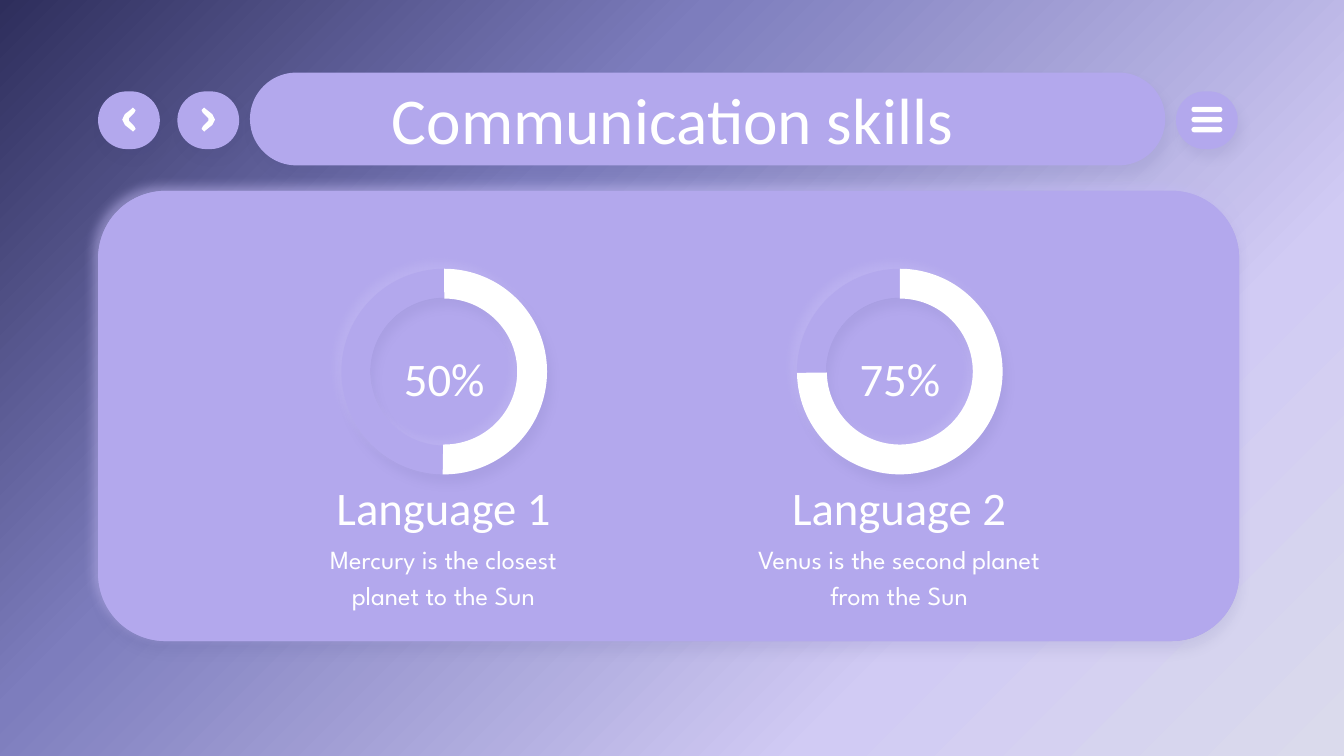
from pptx import Presentation
from pptx.dml.color import RGBColor
from pptx.enum.shapes import MSO_SHAPE
from pptx.enum.text import MSO_ANCHOR, PP_ALIGN
from pptx.oxml import parse_xml
from pptx.oxml.ns import nsdecls
from pptx.util import Inches, Pt

LILAC, WHITE = "B3A8ED", "FFFFFF"
DARK = ("3E3E7A", 8, 5.2, 66)
PANEL_DARK = ("3E3E7A", 8, 5.2, 84)
PANEL_GLOW = ("C4BBF5", 52, 3, 226)
RING_GLOW = ("C4BBF5", 51, 4.5, 226)


def add_shape(kind, x, y, w, h, adj, color=LILAC, shadow=None, rotation=0):
    sp = s.shapes.add_shape(kind, Inches(x), Inches(y), Inches(w), Inches(h))
    for i, value in enumerate(adj):
        sp.adjustments[i] = value
    sp.rotation = rotation
    sp.fill.solid()
    sp.fill.fore_color.rgb = RGBColor.from_string(color)
    sp.line.fill.background()
    sp.shadow.inherit = False
    if shadow:
        tint, alpha, dist, angle = shadow
        sp._element.spPr.remove(sp._element.spPr[-1])
        sp._element.spPr.append(parse_xml(
            f'<a:effectLst {nsdecls("a")}><a:outerShdw blurRad="{Pt(5.6)}" dist="{Pt(dist)}" '
            f'dir="{angle * 60000}" algn="bl" rotWithShape="0"><a:srgbClr val="{tint}">'
            f'<a:alpha val="{alpha * 1000}"/></a:srgbClr></a:outerShdw></a:effectLst>'))


def add_text(text, x, y, w, h, size, font="Calibri", spacing=None, after=0):
    tf = s.shapes.add_textbox(Inches(x), Inches(y), Inches(w), Inches(h)).text_frame
    tf.word_wrap = True
    tf.vertical_anchor = MSO_ANCHOR.TOP
    tf.margin_left = tf.margin_right = tf.margin_top = tf.margin_bottom = Inches(0.1)
    p = tf.paragraphs[0]
    p.alignment = PP_ALIGN.CENTER
    p.space_after = Pt(after)
    if spacing:
        p.line_spacing = spacing
    r = p.add_run()
    r.text = text
    r.font.size = Pt(size)
    r.font.name = font
    r.font.color.rgb = RGBColor.from_string(WHITE)


prs = Presentation()
prs.slide_width, prs.slide_height = Inches(10), Inches(10 * 9 / 16)
s = prs.slides.add_slide(prs.slide_layouts[6])

stops = [(0, "2E2E5C"), (34, "7D7DBD"), (74, "D1CBF4"), (100, "DADAEC")]
gs = "".join(f'<a:gs pos="{pos * 1000}"><a:srgbClr val="{c}"/></a:gs>' for pos, c in stops)
s._element.cSld.insert(0, parse_xml(
    f'<p:bg {nsdecls("p", "a")}><p:bgPr><a:gradFill><a:gsLst>{gs}</a:gsLst>'
    '<a:lin ang="2700000" scaled="0"/></a:gradFill><a:effectLst/></p:bgPr></p:bg>'))

pill = MSO_SHAPE.ROUNDED_RECTANGLE
add_shape(pill, 1.86, 0.54, 6.81, 0.69, [0.5], shadow=DARK)
add_shape(pill, 8.75, 0.68, 0.46, 0.43, [0.5], shadow=DARK)
for i in range(3):
    add_shape(pill, 8.96, 0.7 + 0.075 * i, 0.04, 0.23, [0.5], WHITE, rotation=90)

add_shape(pill, 0.73, 1.42, 8.49, 3.35, [0.15], shadow=PANEL_GLOW)
add_shape(pill, 0.73, 1.42, 8.49, 3.35, [0.15], shadow=PANEL_DARK)
add_text("Communication skills", 0.79, 0.49, 8.43, 0.63, 35)

skills = [
    (3.3, "50%", 0.52, "Language 1", "Mercury is the closest planet to the Sun"),
    (6.69, "75%", 53.55, "Language 2", "Venus is the second planet from the Sun"),
]
for cx, percent, end, language, detail in skills:
    ring = (cx - 0.76, 2, 1.53, 1.53)
    add_shape(MSO_SHAPE.DONUT, *ring, [0.14], shadow=DARK)
    add_shape(MSO_SHAPE.DONUT, *ring, [0.14], shadow=RING_GLOW)
    add_shape(MSO_SHAPE.BLOCK_ARC, *ring, [108, end, 0.145], WHITE, rotation=90)
    add_text(percent, cx - 0.54, 2.5, 1.09, 0.52, 25)
    add_text(language, cx - 1.4, 3.46, 2.8, 0.58, 25)
    add_text(detail, cx - 1.19, 3.91, 2.38, 0.66, 14, "League Spartan", 1.15, 16)

chevron = [(-0.03, -0.09), (-0.04, -0.08), (-0.05, -0.07), (-0.04, -0.05), (0, -0.01),
           (0, 0.01), (-0.04, 0.05), (-0.05, 0.07), (-0.04, 0.08), (-0.03, 0.09),
           (-0.02, 0.08), (0.03, 0.04), (0.04, 0.02), (0.05, 0), (0.04, -0.02),
           (0.03, -0.04), (-0.02, -0.08)]
for cx, direction in ((1.55, 1), (0.96, -1)):
    add_shape(pill, cx - 0.23, 0.68, 0.46, 0.43, [0.5], shadow=DARK)
    pts = [(Inches(cx + direction * dx), Inches(0.89 + dy)) for dx, dy in chevron]
    fb = s.shapes.build_freeform(*pts[0])
    fb.add_line_segments(pts[1:])
    sp = fb.convert_to_shape()
    sp.fill.solid()
    sp.fill.fore_color.rgb = RGBColor.from_string(WHITE)
    sp.line.fill.background()
    sp.shadow.inherit = False

prs.save("out.pptx")
